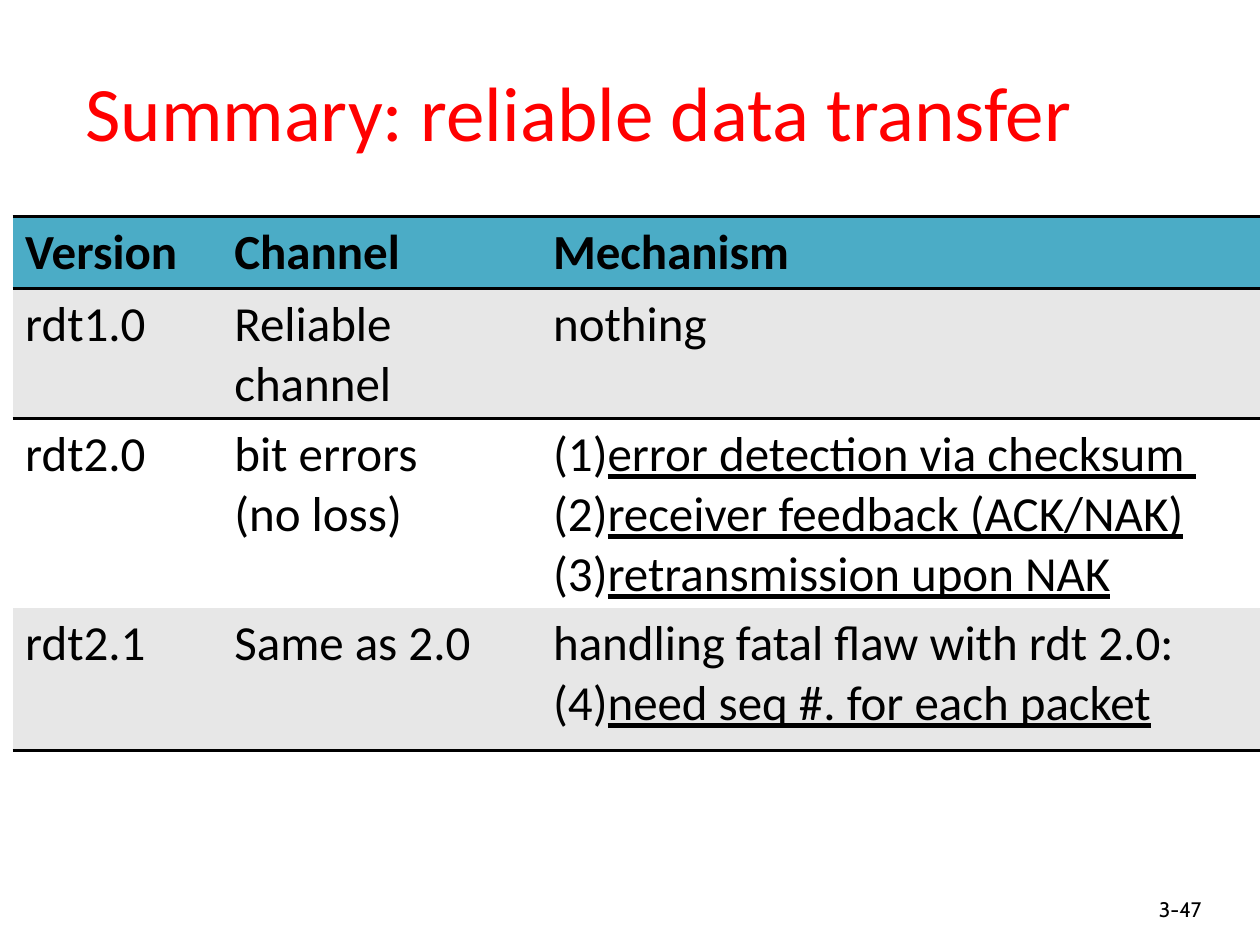
import dataclasses

import pptx
import pptx.dml.color
import pptx.enum.text
import pptx.oxml
import pptx.oxml.ns
import pptx.util

Inches = pptx.util.Inches
Pt = pptx.util.Pt


@dataclasses.dataclass(frozen=True)
class Theme:
    font: str = "Calibri"
    number_font: str = "Cabin"
    title_size: int = 44
    table_size: int = 28
    number_size: int = 12
    title: str = "FF0000"
    ink: str = "000000"
    header: str = "4BACC6"
    bands: tuple = ("E7E7E7", "FFFFFF")
    rule: float = 2


THEME = Theme()
PLAIN_TABLE_STYLE = "{2D5ABB26-0587-4C30-8999-92F81FD0307C}"
COLUMNS = (1.66, 2.53, 5.72)
ROW_HEIGHTS = (0.57, 1.03, 1.5, 1.13)
RULES = (("lnT", "lnB"), ("lnT",), (), ("lnB",))
NUMBERED = (2, 2)
ROWS = (
    ("Version", "Channel", "Mechanism"),
    ("rdt1.0", "Reliable channel", "nothing"),
    (
        "rdt2.0",
        ("bit errors", "(no loss)"),
        (
            "error detection via checksum ",
            "receiver feedback (ACK/NAK)",
            "retransmission upon NAK",
        ),
    ),
    (
        "rdt2.1",
        "Same as 2.0",
        (
            "handling fatal flaw with rdt 2.0:",
            ("(4)", "need seq #. for each packet"),
        ),
    ),
)


def rgb(value):
    return pptx.dml.color.RGBColor.from_string(value)


def as_tuple(value):
    return (value,) if isinstance(value, str) else value


def add_run(p, text, color=THEME.ink, **formats):
    r = p.add_run()
    r.text = text
    for name, value in formats.items():
        setattr(r.font, name, value)
    r.font.color.rgb = rgb(color)


def add_text(s, box, text, anchor, **formats):
    tf = s.shapes.add_textbox(*map(Inches, box)).text_frame
    tf.word_wrap = True
    tf.vertical_anchor = anchor
    add_run(tf.paragraphs[0], text, **formats)


def number_paragraph(p):
    pPr = p._p.get_or_add_pPr()
    pPr.set("marL", str(Inches(0.38)))
    pPr.set("indent", str(Inches(-0.38)))
    bullet = pptx.oxml.ns.qn("a:buAutoNum")
    pPr.append(pPr.makeelement(bullet, {"type": "arabicParenBoth"}))


def add_rule(cell, side):
    cell._tc.get_or_add_tcPr().append(pptx.oxml.parse_xml(
        f'<a:{side} {pptx.oxml.ns.nsdecls("a")} w="{Pt(THEME.rule)}">'
        f'<a:solidFill><a:srgbClr val="{THEME.ink}"/></a:solidFill></a:{side}>'
    ))


def fill_cell(cell, content, color, rules, bold, numbered):
    for side in rules:
        add_rule(cell, side)
    cell.fill.solid()
    cell.fill.fore_color.rgb = rgb(color)
    tf = cell.text_frame
    for i, line in enumerate(as_tuple(content)):
        p = tf.add_paragraph() if i else tf.paragraphs[0]
        if numbered:
            number_paragraph(p)
        for j, text in enumerate(as_tuple(line)):
            add_run(p, text, name=THEME.font, size=Pt(THEME.table_size),
                    bold=bold, underline=numbered or j > 0)


def add_summary_table(s):
    table = s.shapes.add_table(
        len(ROWS), len(COLUMNS), Inches(0.1), Inches(1.72),
        Inches(sum(COLUMNS)), Inches(sum(ROW_HEIGHTS)),
    ).table
    table._tbl.tblPr.find(pptx.oxml.ns.qn("a:tableStyleId")).text = PLAIN_TABLE_STYLE
    for column, width in zip(table.columns, COLUMNS):
        column.width = Inches(width)
    for i, (row, height) in enumerate(zip(table.rows, ROW_HEIGHTS)):
        row.height = Inches(height)
        color = THEME.bands[(i - 1) % 2] if i else THEME.header
        for j, cell in enumerate(row.cells):
            fill_cell(cell, ROWS[i][j], color, RULES[i],
                      bold=i == 0, numbered=(i, j) == NUMBERED)


def main():
    prs = pptx.Presentation()
    prs.slide_width, prs.slide_height = Inches(10), Inches(7.5)
    s = prs.slides.add_slide(prs.slide_layouts[6])
    anchors = pptx.enum.text.MSO_ANCHOR
    add_text(s, (0.58, 0.25, 8.5, 1.25), "Summary: reliable data transfer",
             anchors.MIDDLE, color=THEME.title, name=THEME.font,
             size=Pt(THEME.title_size))
    add_summary_table(s)
    add_text(s, (9.1, 7.07, 0.74, 0.3), "3-47", anchors.TOP,
             name=THEME.number_font, size=Pt(THEME.number_size))
    prs.save("out.pptx")


if __name__ == "__main__":
    main()
